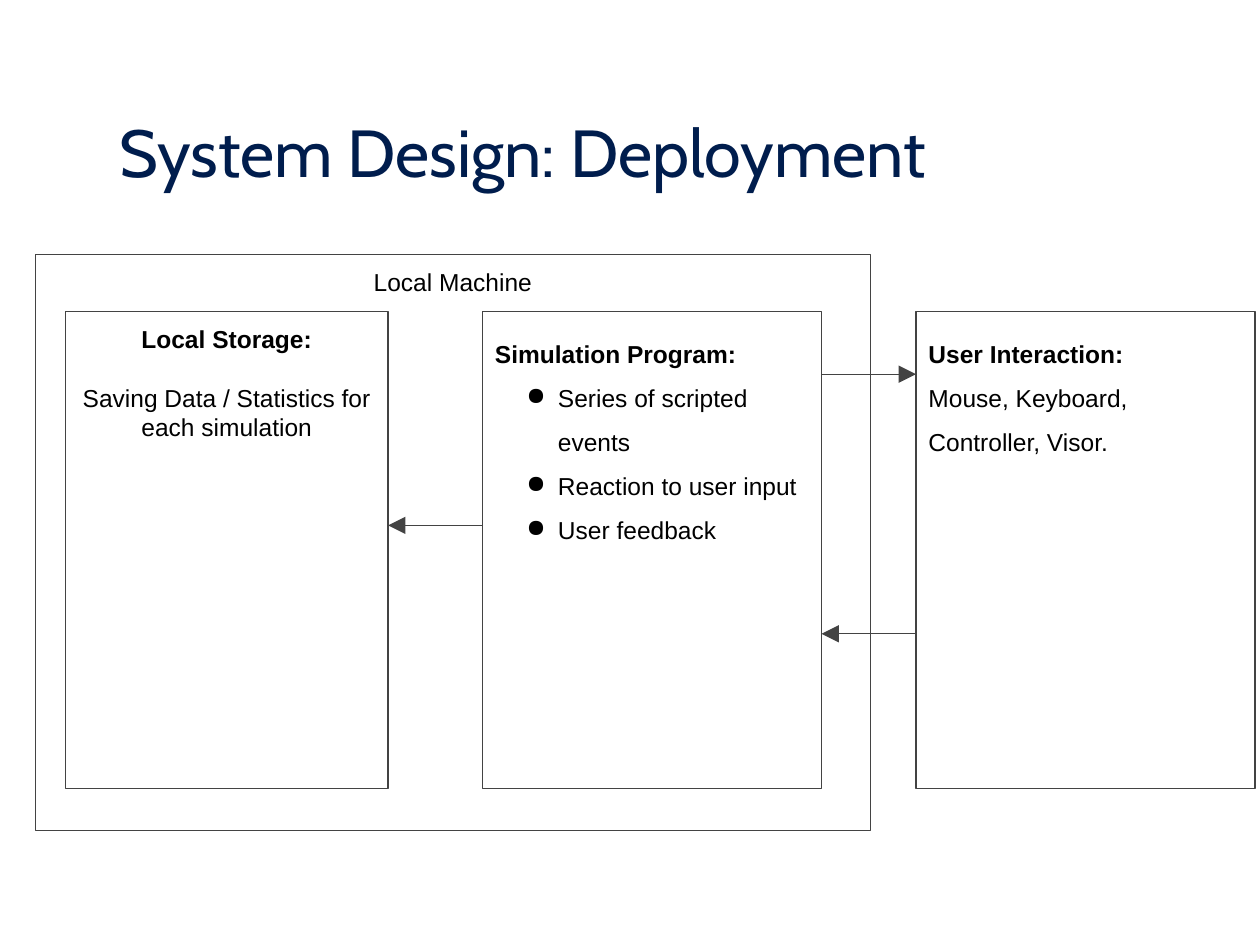
from dataclasses import dataclass

from lxml.etree import SubElement
from pptx import Presentation
from pptx.dml.color import RGBColor
from pptx.enum.shapes import MSO_CONNECTOR, MSO_SHAPE
from pptx.enum.text import MSO_ANCHOR, PP_ALIGN
from pptx.oxml.ns import qn
from pptx.util import Inches, Pt

NAVY = RGBColor(0x00, 0x1D, 0x4D)
GREY = RGBColor(0x43, 0x43, 0x43)
BLACK = RGBColor(0x00, 0x00, 0x00)

COLUMNS, ROWS = 100, 75
CELL = Inches(0.1)
LINE_WIDTH = Pt(0.75)
PANEL_TOP, PANEL_HEIGHT = 24.7, 37.9


@dataclass(frozen=True)
class Line:
    text: str
    bold: bool = False
    bullet: bool = False
    gap_after: float = 0


@dataclass(frozen=True)
class Box:
    left: float
    top: float
    width: float
    height: float
    lines: tuple[Line, ...]
    align: PP_ALIGN = PP_ALIGN.LEFT
    spacing: float = 1.0

    @property
    def right(self) -> float:
        return self.left + self.width


@dataclass(frozen=True)
class Arrow:
    start: float
    end: float
    row: float


MACHINE = Box(2.8, 20.2, 66.3, 45.7, (Line("Local Machine"),), PP_ALIGN.CENTER)
SIMULATION = Box(38.3, PANEL_TOP, 26.9, PANEL_HEIGHT, (
    Line("Simulation Program:", bold=True),
    Line("Series of scripted events", bullet=True),
    Line("Reaction to user input", bullet=True),
    Line("User feedback", bullet=True),
), spacing=1.5)
STORAGE = Box(5.2, PANEL_TOP, 25.6, PANEL_HEIGHT, (
    Line("Local Storage:", bold=True, gap_after=16.8),
    Line("Saving Data / Statistics for each simulation"),
), PP_ALIGN.CENTER)
INTERACTION = Box(72.7, PANEL_TOP, 26.9, PANEL_HEIGHT, (
    Line("User Interaction:", bold=True),
    Line("Mouse, Keyboard, Controller, Visor."),
), spacing=1.5)

ARROWS = (
    Arrow(SIMULATION.right, INTERACTION.left, 29.7),
    Arrow(INTERACTION.left, SIMULATION.right, 50.3),
    Arrow(SIMULATION.left, STORAGE.right, 41.7),
)


def cells(count: float) -> int:
    return round(count * CELL)


def add_run(paragraph, text: str, font: str, size: float, color: RGBColor,
            bold: bool = False) -> None:
    run = paragraph.add_run()
    run.text = text
    run.font.name = font
    run.font.size = Pt(size)
    run.font.bold = bold
    run.font.color.rgb = color


def add_bullet(paragraph) -> None:
    properties = paragraph._p.get_or_add_pPr()
    properties.set("marL", str(Inches(0.5)))
    properties.set("indent", str(Inches(-0.25)))
    SubElement(properties, qn("a:buChar")).set("char", "●")


def add_title(slide, text: str) -> None:
    shape = slide.shapes.add_textbox(cells(8.5), cells(4.2), cells(82.9), cells(11.4))
    frame = shape.text_frame
    frame.word_wrap = True
    frame.vertical_anchor = MSO_ANCHOR.BOTTOM
    add_run(frame.paragraphs[0], text, "Cabin", 38, NAVY)


def add_box(slide, box: Box) -> None:
    shape = slide.shapes.add_shape(MSO_SHAPE.RECTANGLE, cells(box.left), cells(box.top),
                                   cells(box.width), cells(box.height))
    shape.shadow.inherit = False
    shape.fill.background()
    shape.line.color.rgb = GREY
    shape.line.width = LINE_WIDTH
    frame = shape.text_frame
    frame.word_wrap = True
    frame.vertical_anchor = MSO_ANCHOR.TOP
    frame.margin_left = frame.margin_right = CELL
    frame.margin_top = frame.margin_bottom = CELL
    for index, line in enumerate(box.lines):
        paragraph = frame.add_paragraph() if index else frame.paragraphs[0]
        paragraph.alignment = box.align
        paragraph.line_spacing = box.spacing
        paragraph.space_after = Pt(line.gap_after)
        if line.bullet:
            add_bullet(paragraph)
        add_run(paragraph, line.text, "Arial", 14, BLACK, line.bold)


def add_arrow(slide, arrow: Arrow) -> None:
    connector = slide.shapes.add_connector(
        MSO_CONNECTOR.STRAIGHT, cells(arrow.start), cells(arrow.row),
        cells(arrow.end), cells(arrow.row))
    connector.line.color.rgb = GREY
    connector.line.width = LINE_WIDTH
    head = SubElement(connector.line._get_or_add_ln(), qn("a:tailEnd"))
    for name, value in (("type", "triangle"), ("w", "lg"), ("len", "lg")):
        head.set(name, value)
    SubElement(connector._element.spPr, qn("a:effectLst"))


def main() -> None:
    presentation = Presentation()
    presentation.slide_width = cells(COLUMNS)
    presentation.slide_height = cells(ROWS)
    slide = presentation.slides.add_slide(presentation.slide_layouts[6])
    add_title(slide, "System Design: Deployment")
    for box in (MACHINE, SIMULATION, STORAGE, INTERACTION):
        add_box(slide, box)
    for arrow in ARROWS:
        add_arrow(slide, arrow)
    presentation.save("out.pptx")


if __name__ == "__main__":
    main()
